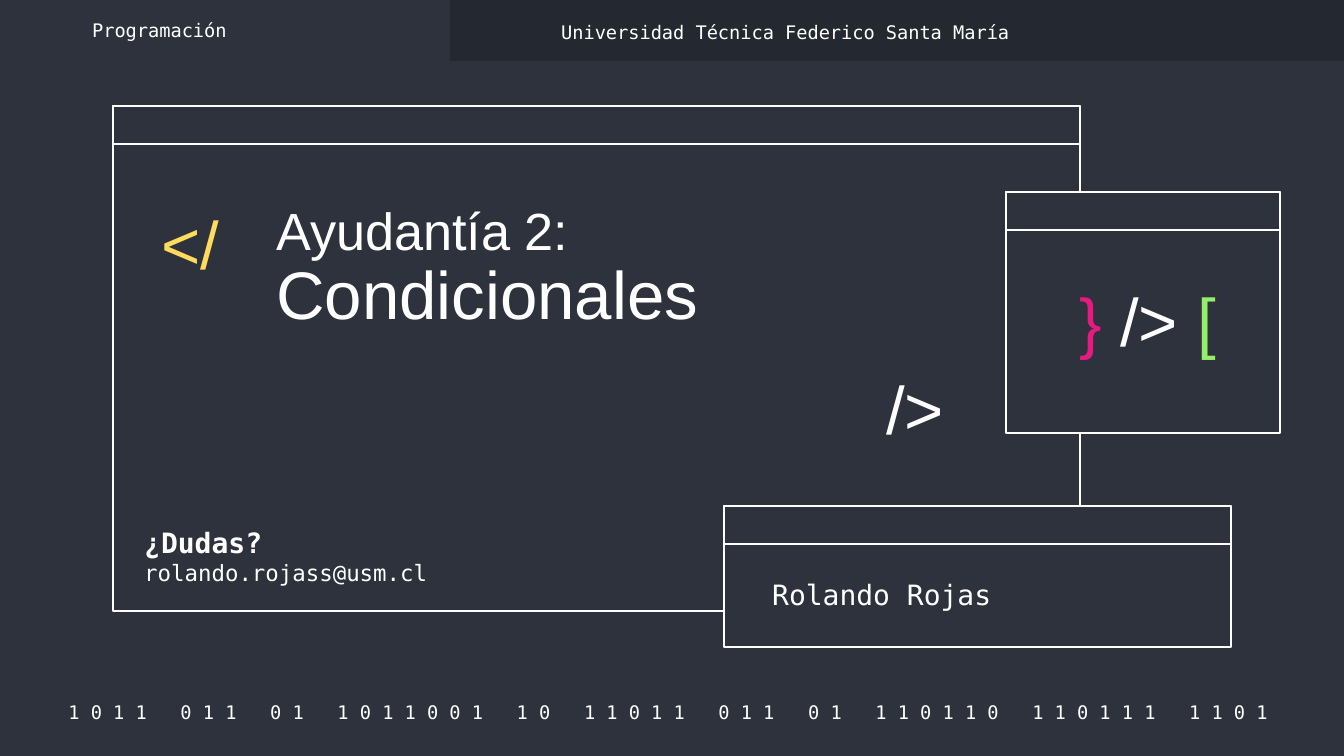
from pptx import Presentation
from pptx import util as u
from pptx.dml.color import RGBColor
from pptx.enum import shapes, text

PX = 914400 / 134.4
SANS = "Arial"
MONO = "DejaVu Sans Mono"
NAVY = RGBColor(0x2D, 0x32, 0x3C)
DARK = RGBColor(0x24, 0x28, 0x30)
WHITE = RGBColor(0xFF, 0xFF, 0xFF)
YELLOW = RGBColor(0xFF, 0xDB, 0x5D)
PINK = RGBColor(0xE8, 0x19, 0x81)
GREEN = RGBColor(0x94, 0xEE, 0x6B)


def add_text_box(box, anchor=text.MSO_ANCHOR.MIDDLE, align=text.PP_ALIGN.LEFT, spacing=1.0):
    frame = slide.shapes.add_textbox(*[round(side * PX) for side in box]).text_frame
    frame.word_wrap = True
    frame.vertical_anchor = anchor
    frame.margin_left = frame.margin_right = frame.margin_top = frame.margin_bottom = u.Inches(0.1)
    paragraph = frame.paragraphs[0]
    paragraph.alignment = align
    paragraph.line_spacing = spacing
    return frame


def add_run(paragraph, words, size=10, font=MONO, color=WHITE, bold=False):
    run = paragraph.add_run()
    run.text = words
    run.font.size = u.Pt(size)
    run.font.name = font
    run.font.color.rgb = color
    run.font.bold = bold
    return run


presentation = Presentation()
presentation.slide_width = round(1344 * PX)
presentation.slide_height = round(756 * PX)
slide = presentation.slides.add_slide(presentation.slide_layouts[6])
slide.background.fill.solid()
slide.background.fill.fore_color.rgb = NAVY

binary = add_text_box((45, 699, 1246, 27), align=text.PP_ALIGN.CENTER).paragraphs[0]
words = "1011 011 01 1011001 10 11011 011 01 110110 110111 1101".split()
for index, word in enumerate(words):
    if index:
        gap = add_run(binary, " ")
        gap.font._element.set("spc", "1204")
    add_run(binary, " ".join(word))

header = slide.shapes.add_shape(
    shapes.MSO_SHAPE.RECTANGLE, *[round(side * PX) for side in (450, 0, 894, 61)])
header.shadow.inherit = False
header.fill.solid()
header.fill.fore_color.rgb = DARK
header.line.fill.background()

TITLE_BAR = 38
windows = [(113, 106, 967, 505), (724, 506, 507, 141), (1006, 192, 274, 241)]
for left, top, width, height in windows:
    window = slide.shapes.add_group_shape()
    for part_height in (height, TITLE_BAR):
        shape = window.shapes.add_shape(
            shapes.MSO_SHAPE.RECTANGLE,
            *[round(side * PX) for side in (left, top, width, part_height)])
        shape.shadow.inherit = False
        shape.fill.solid()
        shape.fill.fore_color.rgb = NAVY
        shape.line.color.rgb = WHITE
        shape.line.width = u.Pt(0.75)

for box, symbol, color in [((148, 203, 104, 89), "</", YELLOW), ((873, 368, 104, 89), "/>", WHITE)]:
    frame = add_text_box(box, spacing=0.9)
    add_run(frame.paragraphs[0], symbol, size=36, font=SANS, color=color)

symbols = add_text_box((1058, 275, 179, 110), anchor=text.MSO_ANCHOR.TOP,
                       align=text.PP_ALIGN.CENTER, spacing=0.9)
for symbol, color in [("}", PINK), (" /> ", WHITE), ("[", GREEN)]:
    add_run(symbols.paragraphs[0], symbol, size=36, font=SANS, color=color)

title = add_text_box((263, 192, 610, 246), anchor=text.MSO_ANCHOR.TOP, spacing=0.9).paragraphs[0]
add_run(title, "Ayudantía 2:", size=28, font=SANS)
title.add_line_break()
add_run(title, "Condicionales", size=36, font=SANS)

labels = [
    ((759, 555, 448, 78), "Rolando Rojas", 15),
    ((79, 17, 294, 27), "Programación", 10),
    ((548, 17, 732, 31), "Universidad Técnica Federico Santa María", 10),
]
for box, label, size in labels:
    add_run(add_text_box(box).paragraphs[0], label, size=size)

contact = add_text_box((131, 512, 484, 89), anchor=text.MSO_ANCHOR.TOP)
add_run(contact.paragraphs[0], "¿Dudas?", size=15, bold=True)
add_run(contact.add_paragraph(), "rolando.rojass@usm.cl", size=12)

presentation.save("out.pptx")
